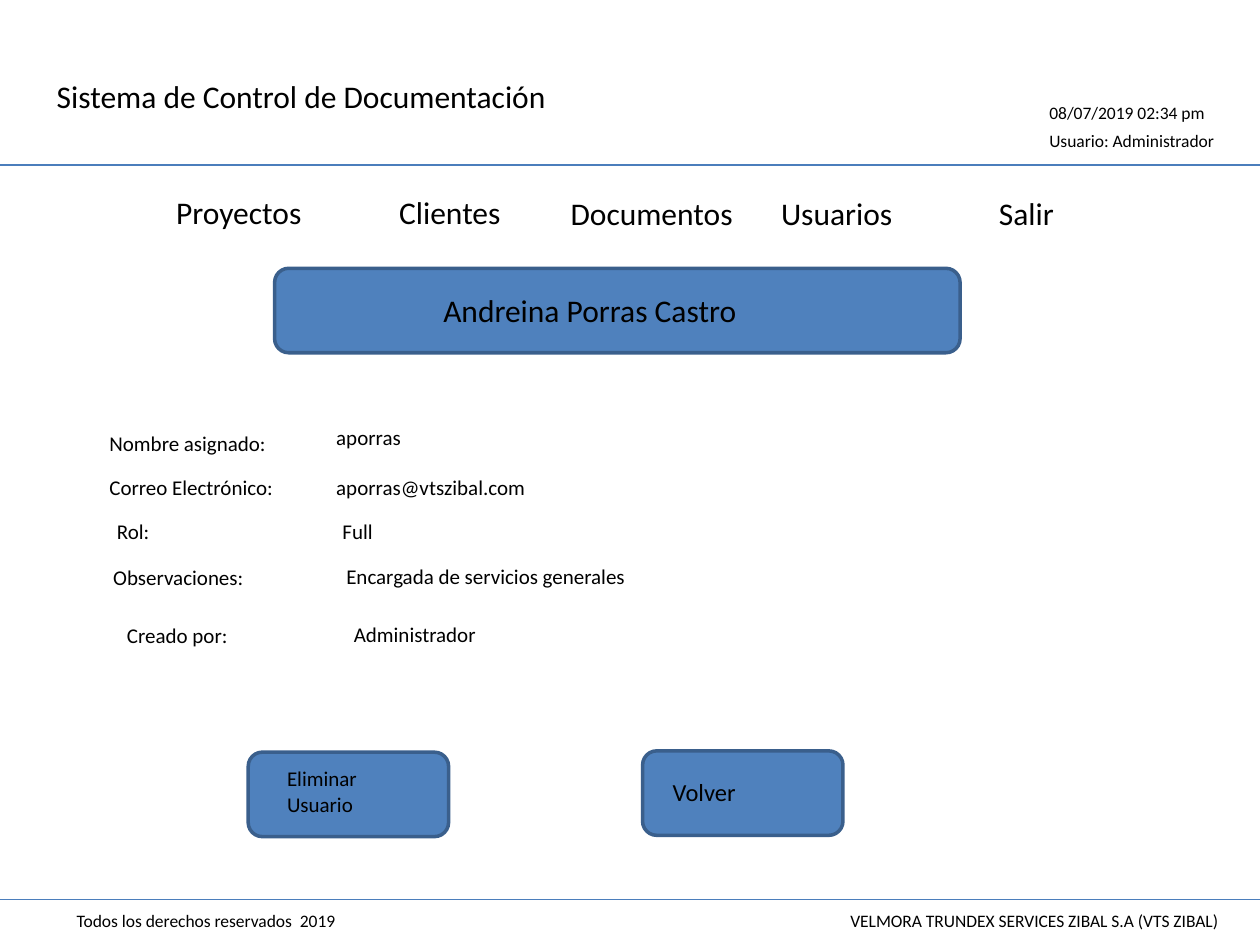
from pptx import Presentation
from pptx.dml.color import RGBColor
from pptx.enum.shapes import MSO_CONNECTOR as Connector, MSO_SHAPE as Shape
from pptx.enum.text import MSO_ANCHOR as Anchor, MSO_AUTO_SIZE as AutoSize, PP_ALIGN as Align
from pptx.oxml.ns import qn
from pptx.util import Inches, Pt
from lxml.etree import SubElement

BLACK = RGBColor(0x00, 0x00, 0x00)
BLUE = RGBColor(0x4F, 0x81, 0xBD)
EDGE = RGBColor(0x3A, 0x5F, 0x8C)
RULE = RGBColor(0x4B, 0x7E, 0xBC)

deck = Presentation()
deck.slide_width, deck.slide_height = Inches(10), Inches(7.5)
page = deck.slides.add_slide(deck.slide_layouts[5])

# Grid: 100 columns by 75 rows
COL = deck.slide_width / 100
ROW = deck.slide_height / 75


def area(left, top, width, height):
    return int(left * COL), int(top * ROW), int(width * COL), int(height * ROW)


def write(box, text, size):
    frame = box.text_frame
    frame_format = {"word_wrap": True, "auto_size": AutoSize.NONE,
                    "vertical_anchor": Anchor.TOP}
    for name, value in frame_format.items():
        setattr(frame, name, value)
    para = frame.paragraphs[0]
    para.alignment = Align.LEFT
    span = para.add_run()
    span.text = text
    for name, value in {"name": "Calibri", "size": Pt(size)}.items():
        setattr(span.font, name, value)
    span.font.color.rgb = BLACK


# Title
title = page.shapes.title
title.left, title.top, title.width, title.height = area(3.5, 5.6, 44.9, 4)
write(title, "Sistema de Control de Documentación", 18)

# Header and footer rules
for row in (13.1, 71.4):
    start, level, length, _ = area(0, row, 100, 0)
    rule = page.shapes.add_connector(Connector.STRAIGHT, start, level, length, level)
    rule.line.color.rgb = RULE
    rule.line.width = Pt(0.75)
    SubElement(rule._element.spPr, qn("a:effectLst"))

# Name banner and buttons
for left, top, width in ((21.8, 21.3, 54.4), (19.7, 59.7, 15.9), (51, 59.6, 15.9)):
    panel = page.shapes.add_shape(Shape.ROUNDED_RECTANGLE, *area(left, top, width, 6.7))
    panel.shadow.inherit = False
    panel.fill.solid()
    panel.fill.fore_color.rgb = BLUE
    panel.line.color.rgb = EDGE
    panel.line.width = Pt(2)

# Text by size: left, top, width, wording
HEIGHTS = {18: 4, 14: 3.4, 12: 3, 10: 2.7}
texts = {
    18: [
        # Menu
        (13, 14.8, 14.2, "Proyectos"),
        (30.7, 14.8, 11.4, "Clientes"),
        (44.3, 14.9, 15.2, "Documentos"),
        (61, 14.9, 15.2, "Usuarios"),
        (78.3, 14.9, 8.7, "Salir"),
        # Banner
        (34.2, 22.6, 48.7, "Andreina Porras Castro"),
    ],
    14: [(52.4, 61.2, 12.8, "Volver")],
    12: [
        # User details
        (7.7, 33.7, 16.6, "Nombre asignado:"),
        (25.7, 33.2, 46.1, "aporras"),
        (7.7, 37.2, 15.7, "Correo Electrónico:"),
        (25.7, 37.2, 39.8, "aporras@vtszibal.com"),
        (8.3, 40.7, 15.7, "Rol:"),
        (26.2, 40.7, 51.7, "Full"),
        (8, 44.3, 15.7, "Observaciones:"),
        (26.5, 44.2, 51.7, "Encargada de servicios generales"),
        (9.1, 48.9, 15.7, "Creado por:"),
        (27.1, 48.8, 51.7, "Administrador"),
        # Delete button
        (21.8, 60.3, 12.6, "Eliminar Usuario"),
    ],
    10: [
        # Session and footer
        (82.3, 7.6, 16.4, "08/07/2019 02:34 pm"),
        (82.3, 9.8, 16.4, "Usuario: Administrador"),
        (5.1, 71.7, 29.9, "Todos los derechos reservados  2019"),
        (66.5, 71.7, 32.1, "VELMORA TRUNDEX SERVICES ZIBAL S.A (VTS ZIBAL)"),
    ],
}
for size, entries in texts.items():
    for left, top, width, text in entries:
        box = page.shapes.add_textbox(*area(left, top, width, HEIGHTS[size]))
        write(box, text, size)

deck.save("out.pptx")
